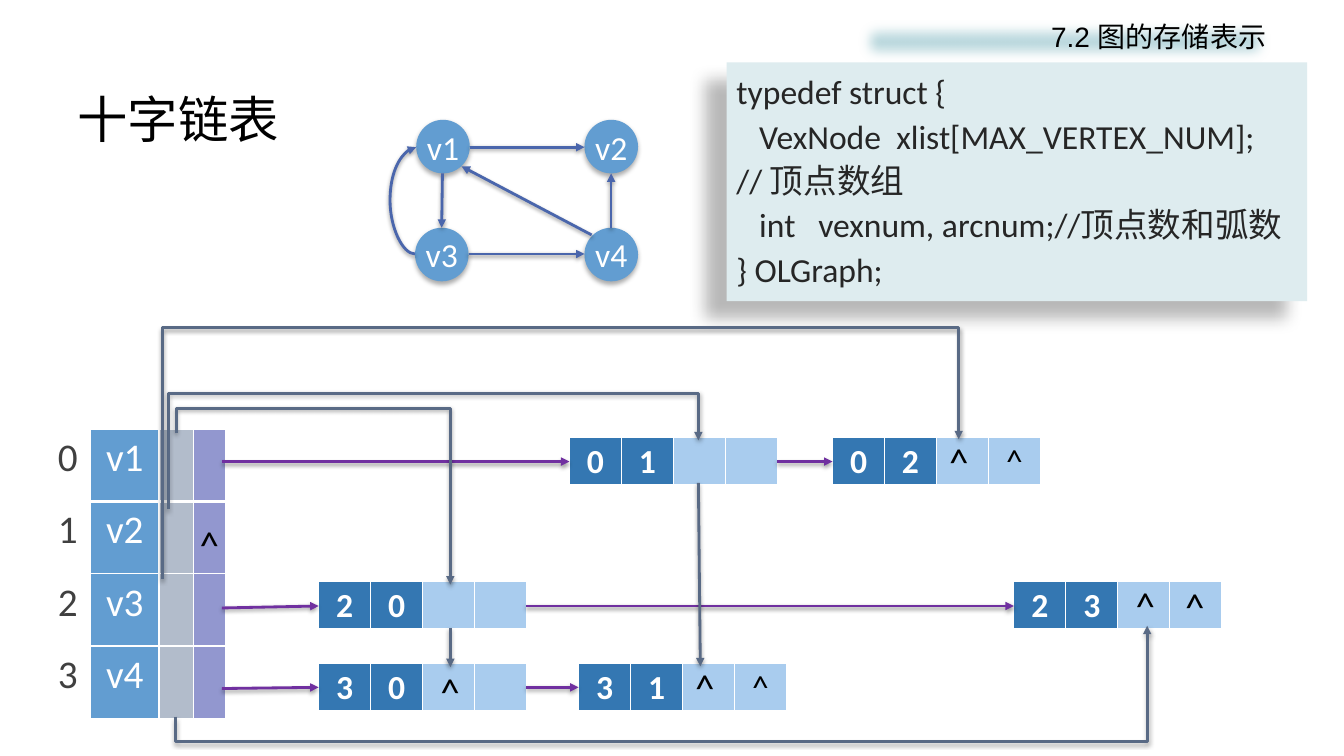
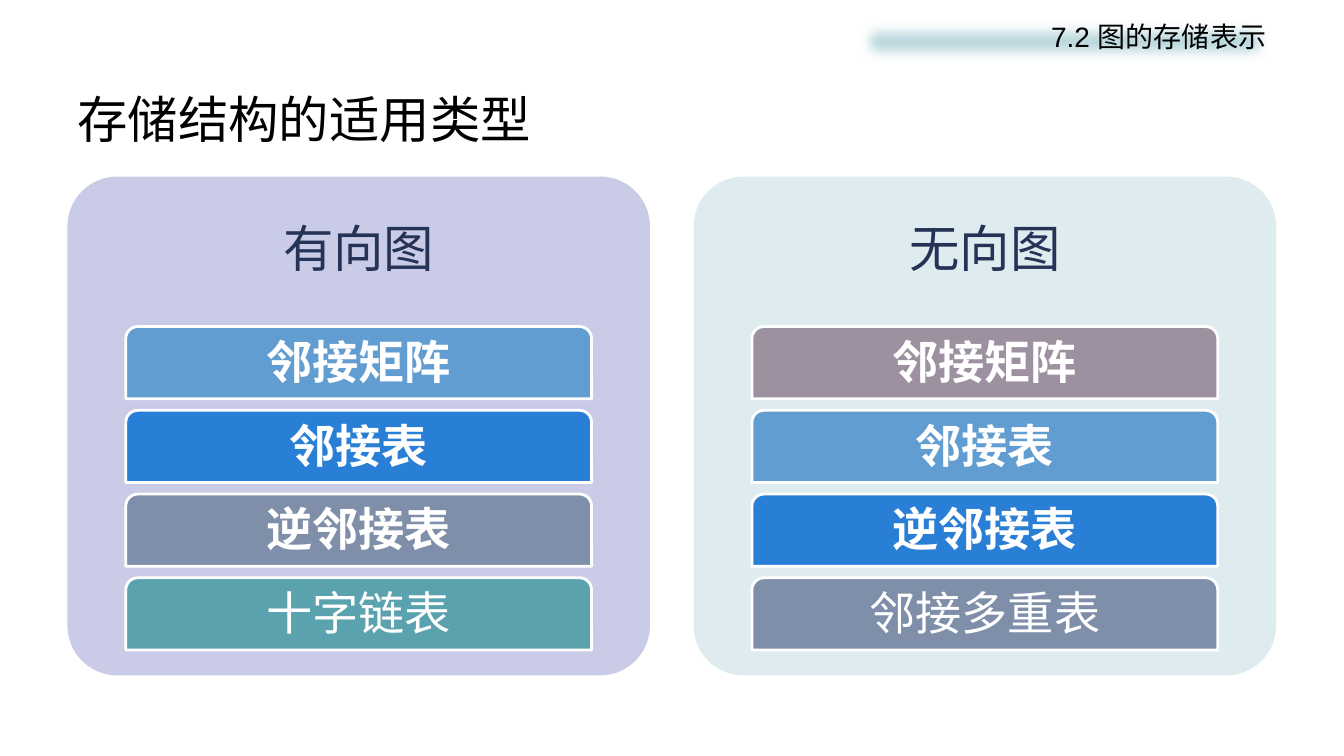
from lxml import etree
from pptx import Presentation
from pptx import util as u
from pptx.dml.color import RGBColor
from pptx.enum import shapes, text
from pptx.oxml.ns import qn

WHITE, BLACK = "FFFFFF", "000000"
BLUE, BRIGHT, SLATE, TEAL, MAUVE = "629DD1", "297FD5", "7F8FA9", "5AA2AE", "9D90A0"
PALE, LILAC, NAVY = "DEECEF", "C9CBE7", "253356"
EDGE, OUT_LINK, IN_LINK = "4A66AC", "7030A0", "596A85"
CENTER, MIDDLE = text.PP_ALIGN.CENTER, text.MSO_ANCHOR.MIDDLE
AUTO, LINK = shapes.MSO_SHAPE, shapes.MSO_CONNECTOR


def rgb(value):
    return RGBColor.from_string(value)


def sub(parent, tag, **attrs):
    el = etree.SubElement(parent, qn(tag))
    for name, value in attrs.items():
        el.set(name, str(value))
    return el


def add_shadow(spPr, alpha, blur, dist, angle):
    effects = sub(spPr, "a:effectLst")
    shadow = sub(effects, "a:outerShdw", blurRad=int(u.Pt(blur)), dist=int(u.Pt(dist)),
                 dir=angle * 60000, algn="ctr", rotWithShape=0)
    sub(sub(shadow, "a:srgbClr", val=BLACK), "a:alpha", val=alpha * 1000)


class Deck:
    cjk = "Noto Sans CJK SC"

    def __init__(self):
        self.prs = Presentation()
        self.prs.slide_width, self.prs.slide_height = u.Cm(33.87), u.Cm(19.05)
        self.s = None

    def slide(self, title):
        self.s = self.prs.slides.add_slide(self.prs.slide_layouts[6])
        band = self.shape(AUTO.RECTANGLE, (21.49, 0.36, 10.67, 1.37), "BDDADF")
        effects = band._element.spPr.find(qn("a:effectLst"))
        sub(effects, "a:softEdge", rad=int(u.Pt(10)))
        self.fill_text(band.text_frame, "7.2 图的存储表示", 20, BLACK, "Arial",
                       align=text.PP_ALIGN.RIGHT, anchor=text.MSO_ANCHOR.TOP)
        self.label(title, (1.7, 2.03, 30.48, 1.9), 36, BLACK, self.cjk, anchor=MIDDLE)

    def fill_text(self, tf, content, size, color, font="Calibri", bold=False,
                  align=text.PP_ALIGN.LEFT, anchor=None, spacing=None, wrap=True):
        tf.text = content
        if anchor is not None:
            tf.vertical_anchor = anchor
        tf.word_wrap = wrap
        for p in tf.paragraphs:
            p.alignment = align
            if spacing:
                p.line_spacing = spacing
            for r in p.runs:
                r.font.size, r.font.name, r.font.bold = u.Pt(size), font, bold
                r.font.color.rgb = rgb(color)
                sub(r._r.get_or_add_rPr(), "a:ea", typeface=self.cjk)

    def label(self, content, box, size, color, font="Calibri", **style):
        sp = self.s.shapes.add_textbox(*map(u.Cm, box))
        self.fill_text(sp.text_frame, content, size, color, font, **style)

    def shape(self, kind, box, fill, line=None, shadow=None):
        sp = self.s.shapes.add_shape(kind, *map(u.Cm, box))
        sp.fill.solid()
        sp.fill.fore_color.rgb = rgb(fill)
        if line:
            sp.line.color.rgb = rgb(line)
            sp.line.width = u.Pt(2)
        else:
            sp.line.fill.background()
        if shadow:
            add_shadow(sp._element.spPr, *shadow)
        else:
            sp.shadow.inherit = False
        return sp

    def arrow(self, start, end, color, kind=LINK.STRAIGHT):
        c = self.s.shapes.add_connector(kind, *map(u.Cm, start + end))
        c.line.color.rgb = rgb(color)
        c.line.width = u.Pt(2)
        sub(c.line._get_or_add_ln(), "a:tailEnd", type="triangle")
        add_shadow(c._element.spPr, 38, 3.1, 1.6, 90)
        return c

    def route(self, c, turn, flips, bend):
        spPr = c._element.spPr
        xfrm = spPr.find(qn("a:xfrm"))
        xfrm.set("rot", str(turn * 60000))
        for flip in ("flipH", "flipV"):
            xfrm.set(flip, str(int(flip in flips)))
        geom = spPr.find(qn("a:prstGeom"))
        for old in list(geom):
            geom.remove(old)
        sub(sub(geom, "a:avLst"), "a:gd", name="adj1", fmla=f"val {round(bend * 100000)}")

    def elbow(self, start, end, via, color):
        (x1, y1), (x2, y2) = start, end
        w, h = abs(y2 - y1), abs(x2 - x1)
        left, top = (x1 + x2 - w) / 2, (y1 + y2 - h) / 2
        c = self.arrow((left, top), (left + w, top + h), color, LINK.ELBOW)
        turn, flips = (270, ("flipH",)) if y2 > y1 else (90, ("flipH", "flipV"))
        self.route(c, turn, flips, (via - y1) / (y2 - y1))

    def curve(self, start, end, via, color):
        (x1, y1), (x2, y2) = start, end
        c = self.arrow((x1, y2), (x2, y1), color, LINK.CURVE)
        self.route(c, 180, ("flipH",), (via - x1) / (x2 - x1))

    def table(self, at, widths, height, rows, fills, inset=None, heavy_rows=(0,)):
        box = (*at, sum(widths), height * len(rows))
        t = self.s.shapes.add_table(len(rows), len(widths), *map(u.Cm, box)).table
        t.first_row = t.horz_banding = False
        for col, width in zip(t.columns, widths):
            col.width = u.Cm(width)
        for i, row in enumerate(rows):
            t.rows[i].height = u.Cm(height)
            for j, (content, fill) in enumerate(zip(row, fills)):
                cell = t.cell(i, j)
                if inset:
                    cell.margin_left = cell.margin_right = u.Cm(inset[0])
                    cell.margin_top = cell.margin_bottom = u.Cm(inset[1])
                tcPr = cell._tc.get_or_add_tcPr()
                for side in "LRTB":
                    width = 3 if side == "B" and i in heavy_rows else 1
                    ln = sub(tcPr, f"a:ln{side}", w=int(u.Pt(width)))
                    sub(sub(ln, "a:solidFill"), "a:srgbClr", val=WHITE)
                if fill:
                    cell.fill.solid()
                    cell.fill.fore_color.rgb = rgb(fill)
                else:
                    cell.fill.background()
                if content:
                    word, size, color, bold = content
                    self.fill_text(cell.text_frame, word, size, color, bold=bold, align=CENTER)

    def arc_record(self, at, tail, head, last=None):
        row = [(tail, 24, WHITE, True), (head, 24, WHITE, True), None,
               last and (last, 24, BLACK, False)]
        self.table(at, [1.31] * 4, 1.22, [row], ["3477B2"] * 2 + ["A9CCEE"] * 2, (0.2, 0.1))

    def vertex(self, name, x, y):
        sp = self.shape(AUTO.OVAL, (x, y, 1.35, 1.35), BLUE, shadow=(32, 3.5, 2.2, 90))
        self.fill_text(sp.text_frame, name, 24, WHITE, align=CENTER, anchor=MIDDLE, wrap=False)

    def panel(self, x, fill, heading, bars):
        sp = self.shape(AUTO.ROUNDED_RECTANGLE, (x, 4.45, 14.68, 12.57), fill)
        sp.adjustments[0] = 0.1
        self.label(heading, (x, 4.45, 14.68, 3.77), 36, NAVY, "Arial", align=CENTER,
                   anchor=MIDDLE, spacing=0.9)
        for i, (name, color) in enumerate(bars):
            sp = self.shape(AUTO.ROUND_2_SAME_RECTANGLE, (x + 1.47, 8.23 + 2.11 * i, 11.74, 1.82),
                            color, WHITE)
            self.fill_text(sp.text_frame, name, 33, WHITE, "Arial", bold=i < 3, align=CENTER,
                           anchor=MIDDLE, spacing=0.9)


CODE = """typedef struct {
   VexNode  xlist[MAX_VERTEX_NUM];
// 顶点数组
   int   vexnum, arcnum;//顶点数和弧数
} OLGraph;"""


def orthogonal_list(d):
    d.slide("十字链表")
    sp = d.shape(AUTO.RECTANGLE, (18.31, 1.57, 14.63, 6.02), PALE, shadow=(28, 11.8, 19.7, 141))
    d.fill_text(sp.text_frame, CODE, 24, "262626", spacing=1.1, anchor=text.MSO_ANCHOR.TOP)

    for name, x, y in [("v1", 10.49, 3.02), ("v2", 14.73, 3.02),
                       ("v3", 10.46, 5.74), ("v4", 14.73, 5.74)]:
        d.vertex(name, x, y)
    for start, end in [((11.84, 3.71), (14.73, 3.71)), ((15.4, 5.74), (15.4, 4.37)),
                       ((14.91, 5.92), (11.63, 4.19)), ((11.15, 4.37), (11.13, 5.74)),
                       ((11.81, 6.4), (14.73, 6.4))]:
        d.arrow(start, end, EDGE)
    d.curve((10.46, 6.4), (10.49, 3.71), 9.83, EDGE)

    rows = [[(str(i), 28, "404040", False), (f"v{i + 1}", 28, WHITE, False), None, None]
            for i in range(4)]
    d.table((1.14, 10.82), [1.14, 1.73, 0.86, 0.81], 1.82, rows, [None, BLUE, "B2BCCB", "9297CF"])
    for at, *fields in [((14.35, 11.02), "0", "1"), ((20.98, 11.02), "0", "2", "^"),
                        ((8.03, 14.66), "2", "0"), ((25.55, 14.66), "2", "3"),
                        ((8.03, 16.71), "3", "0"), ((14.58, 16.71), "3", "1", "^")]:
        d.arc_record(at, *fields)

    for start, end in [((5.59, 11.63), (14.35, 11.63)), ((19.58, 11.63), (20.98, 11.63)),
                       ((5.59, 15.32), (8.03, 15.27)), ((13.26, 15.27), (25.55, 15.27)),
                       ((5.59, 17.35), (8.03, 17.32)), ((13.26, 17.32), (14.58, 17.32))]:
        d.arrow(start, end, OUT_LINK)
    for start, end in [((11.35, 15.82), (11.35, 16.81)), ((17.6, 12.17), (17.65, 16.79))]:
        d.arrow(start, end, IN_LINK)
    for start, end, via in [((4.45, 10.92), (11.35, 14.73), 10.29),
                            ((4.24, 12.83), (17.6, 11.1), 9.91),
                            ((4.09, 14.58), (24.16, 11.07), 8.26),
                            ((4.42, 18.06), (28.91, 15.77), 18.69)]:
        d.elbow(start, end, via, IN_LINK)
    for x, y in [(4.78, 12.98), (29.62, 14.55), (23.67, 10.9),
                 (10.85, 16.69), (17.27, 16.59), (28.37, 14.53)]:
        d.label("^", (x, y, 1.02, 1.45), 28, BLACK, wrap=False)


def storage_types(d):
    d.slide("存储结构的适用类型")
    shared = ["邻接矩阵", "邻接表", "逆邻接表"]
    d.panel(1.7, LILAC, "有向图", zip(shared + ["十字链表"], [BLUE, BRIGHT, SLATE, TEAL]))
    d.panel(17.48, PALE, "无向图", zip(shared + ["邻接多重表"], [MAUVE, BLUE, BRIGHT, SLATE]))


def main():
    d = Deck()
    orthogonal_list(d)
    storage_types(d)
    d.prs.save("out.pptx")


if __name__ == "__main__":
    main()
